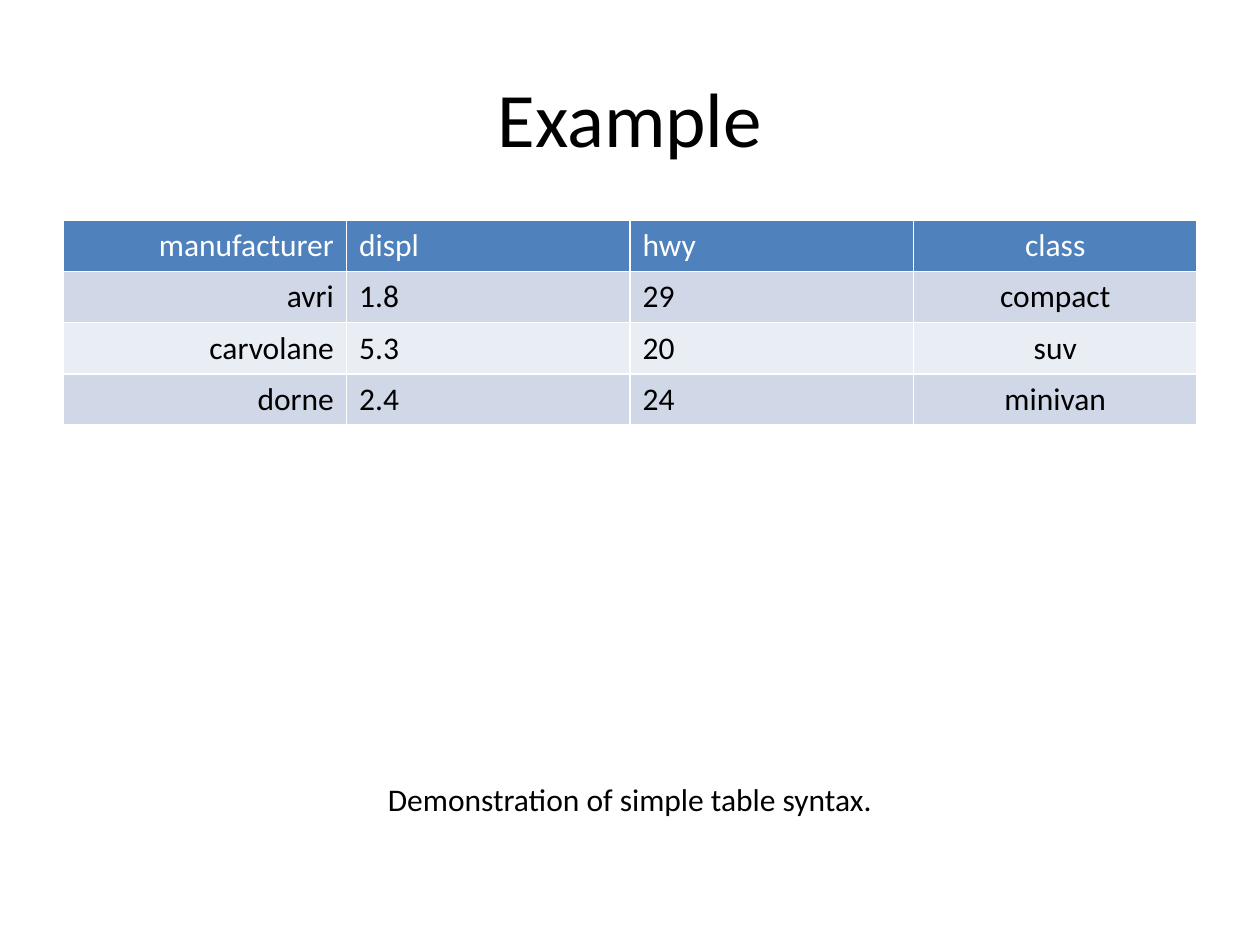
from pptx import Presentation
from pptx.dml.color import RGBColor
from pptx.enum.text import MSO_ANCHOR, PP_ALIGN
from pptx.util import Inches, Pt

LEFT, CENTER, RIGHT = PP_ALIGN.LEFT, PP_ALIGN.CENTER, PP_ALIGN.RIGHT
MIDDLE = MSO_ANCHOR.MIDDLE

FONT = "Calibri"
COLORS = {
    "text": "000000",
    "header_text": "FFFFFF",
    "header": "4F81BD",
    "odd_band": "D0D8E8",
    "even_band": "E9EDF4",
}
ALIGNMENTS = [RIGHT, LEFT, LEFT, CENTER]
CAR_ROWS = [
    ["manufacturer", "displ", "hwy", "class"],
    ["avri", "1.8", "29", "compact"],
    ["carvolane", "5.3", "20", "suv"],
    ["dorne", "2.4", "24", "minivan"],
]


def color(name):
    return RGBColor.from_string(COLORS[name])


def write(frame, text, size, align, color_name="text"):
    para = frame.paragraphs[0]
    para.alignment = align
    span = para.add_run()
    span.text = text
    span.font.name = FONT
    span.font.size = Pt(size)
    span.font.bold = False
    span.font.color.rgb = color(color_name)


def add_title(page, box, text):
    title = page.shapes.title
    title.left, title.top, title.width, title.height = box
    title.text_frame.vertical_anchor = MIDDLE
    write(title.text_frame, text, 44, CENTER)


def add_car_table(page, box, rows):
    table = page.shapes.add_table(len(rows), len(ALIGNMENTS), *box).table
    for row_index, values in enumerate(rows):
        if row_index == 0:
            fill, ink = "header", "header_text"
        else:
            fill, ink = ("odd_band" if row_index % 2 else "even_band"), "text"
        for column_index, value in enumerate(values):
            cell = table.cell(row_index, column_index)
            cell.fill.solid()
            cell.fill.fore_color.rgb = color(fill)
            write(cell.text_frame, value, 18, ALIGNMENTS[column_index], ink)


def add_caption(page, box, text):
    caption = page.shapes.add_textbox(*box)
    caption.text_frame.word_wrap = True
    write(caption.text_frame, text, 18, CENTER)


def main():
    deck = Presentation()
    deck.slide_width, deck.slide_height = Inches(10), Inches(7.5)
    page = deck.slides.add_slide(deck.slide_layouts[5])
    margin = int(deck.slide_width * 0.05)
    width = deck.slide_width - 2 * margin
    row_height = Inches(0.4)

    add_title(page, (margin, Inches(0.3), width, Inches(1.25)), "Example")
    add_car_table(
        page, (margin, Inches(1.75), width, row_height * len(CAR_ROWS)), CAR_ROWS
    )
    add_caption(
        page,
        (margin, Inches(6.14), width, Inches(0.56)),
        "Demonstration of simple table syntax.",
    )
    deck.save("out.pptx")


if __name__ == "__main__":
    main()
